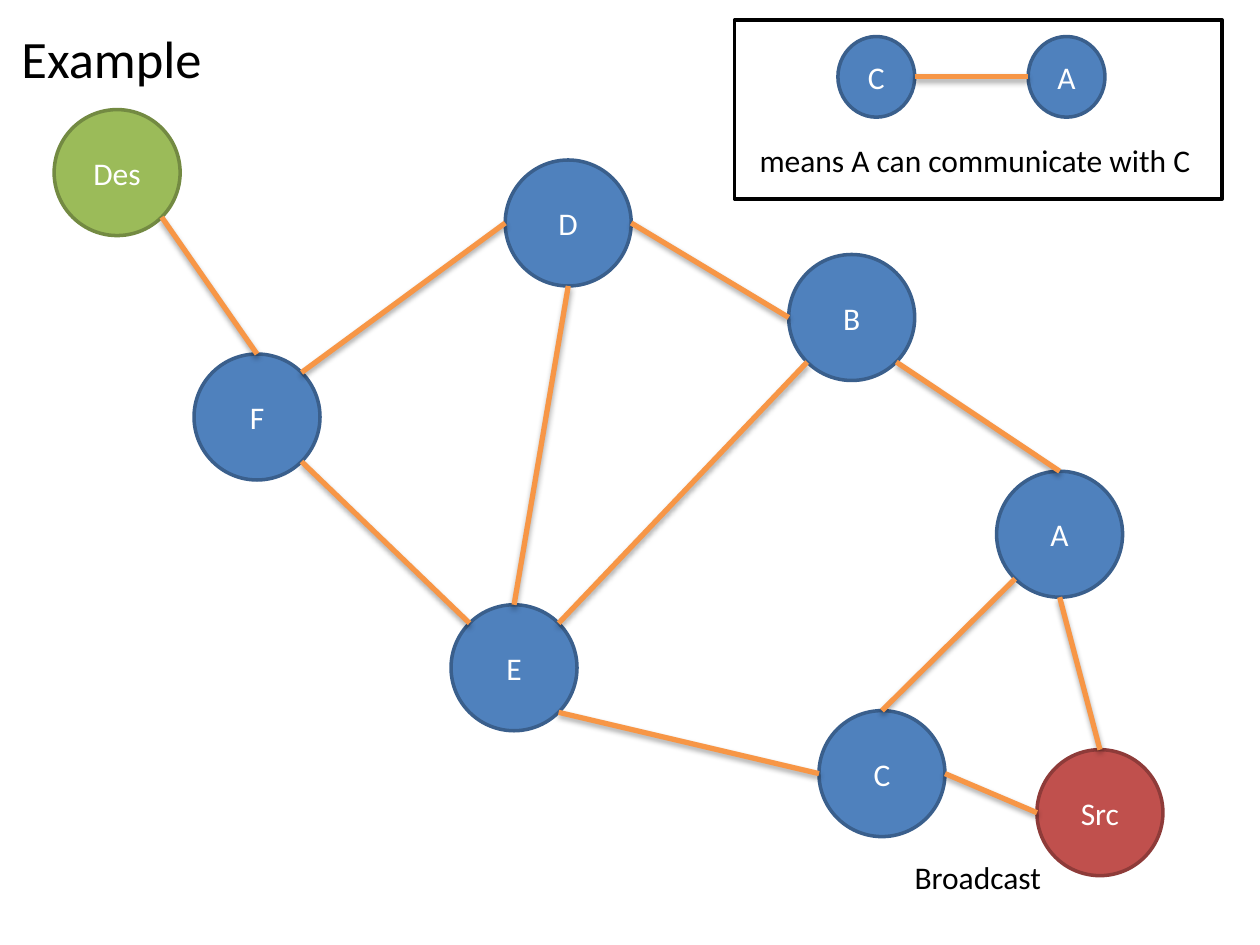
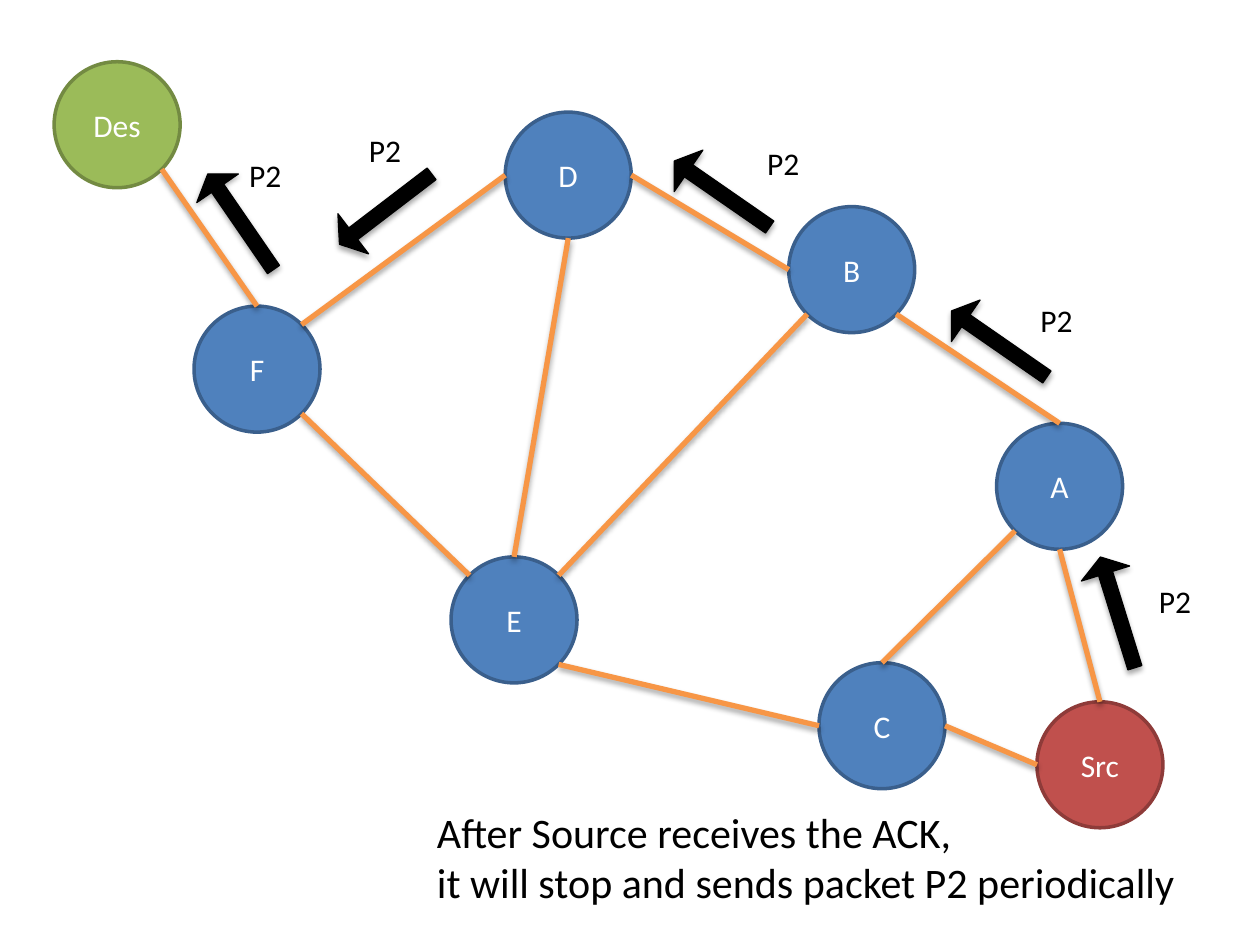
from enum import IntEnum
from math import cos, radians, sin

from lxml.etree import SubElement
from pptx import Presentation
from pptx.dml.color import RGBColor
from pptx.enum.shapes import MSO_CONNECTOR as Connector, MSO_SHAPE as Preset
from pptx.enum.text import MSO_ANCHOR as Anchor, MSO_AUTO_SIZE as AutoSize, PP_ALIGN as Align
from pptx.oxml.ns import qn
from pptx.util import Inches, Pt

WHITE = RGBColor(0xFF, 0xFF, 0xFF)
BLACK = RGBColor(0x00, 0x00, 0x00)
BLUE = RGBColor(0x4F, 0x81, 0xBD)
DARK_BLUE = RGBColor(0x3A, 0x5F, 0x8C)
GREEN = RGBColor(0x9B, 0xBB, 0x59)
DARK_GREEN = RGBColor(0x73, 0x8A, 0x42)
RED = RGBColor(0xC0, 0x50, 0x4D)
DARK_RED = RGBColor(0x8E, 0x3B, 0x39)
ORANGE = RGBColor(0xF7, 0x96, 0x46)

FONT = "Calibri"
TITLE_ONLY, BLANK = 5, 6
NODE_SIZE = 1


class Site(IntEnum):
    TOP = 0
    UPPER_LEFT = 1
    LEFT = 2
    LOWER_LEFT = 3
    BOTTOM = 4
    LOWER_RIGHT = 5
    RIGHT = 6
    UPPER_RIGHT = 7


NODES = {
    "D": (4.01, 0.89),
    "Des": (0.43, 0.49),
    "E": (3.58, 4.42),
    "B": (6.26, 1.64),
    "A": (7.91, 3.36),
    "F": (1.54, 2.43),
    "C": (6.5, 5.26),
    "Src": (8.23, 5.57),
}
NODE_COLORS = {"Des": (GREEN, DARK_GREEN), "Src": (RED, DARK_RED)}
LINKS = [
    ("A", Site.BOTTOM, "Src", Site.TOP),
    ("C", Site.RIGHT, "Src", Site.LEFT),
    ("E", Site.LOWER_RIGHT, "C", Site.LEFT),
    ("F", Site.LOWER_RIGHT, "E", Site.UPPER_LEFT),
    ("B", Site.LOWER_RIGHT, "A", Site.TOP),
    ("D", Site.RIGHT, "B", Site.LEFT),
    ("F", Site.UPPER_RIGHT, "D", Site.LEFT),
    ("Des", Site.LOWER_RIGHT, "F", Site.TOP),
    ("C", Site.TOP, "A", Site.LOWER_LEFT),
    ("D", Site.BOTTOM, "E", Site.TOP),
    ("B", Site.LOWER_LEFT, "E", Site.UPPER_RIGHT),
]
PACKET_HOPS = [
    (8.41, 4.66, 72.7, 9.1, 4.57),
    (1.45, 1.56, 55.5, 1.88, 1.19),
    (5.27, 1.34, 34.7, 5.99, 1.09),
    (2.6, 1.46, 322.6, 2.83, 0.99),
    (7.47, 2.53, 34.7, 8.16, 2.34),
]


def write(frame, text, size=18, color=BLACK, align=Align.LEFT, anchor=Anchor.TOP,
          wrap=False, auto_size=AutoSize.SHAPE_TO_FIT_TEXT):
    frame.word_wrap = wrap
    frame.auto_size = auto_size
    frame.vertical_anchor = anchor
    for number, line in enumerate(text.split("\n")):
        para = frame.add_paragraph() if number else frame.paragraphs[0]
        para.alignment = align
        span = para.add_run()
        span.text = line
        span.font.name = FONT
        span.font.size = Pt(size)
        span.font.color.rgb = color


def drop_shadow(element):
    effects = SubElement(element.spPr, qn("a:effectLst"))
    shadow = SubElement(effects, qn("a:outerShdw"), blurRad="40000", dist="23000",
                        dir="5400000", rotWithShape="0")
    color = SubElement(shadow, qn("a:srgbClr"), val=str(BLACK))
    SubElement(color, qn("a:alpha"), val="35000")


def site_point(node, site):
    angle = radians(90 + 45 * site)
    x = node.left + node.width / 2 * (1 + cos(angle))
    y = node.top + node.height / 2 * (1 - sin(angle))
    return round(x), round(y)


class NetworkDeck:
    def __init__(self):
        self.deck = Presentation()
        self.deck.slide_width = Inches(10)
        self.deck.slide_height = Inches(7.5)
        self.page = None

    def new_page(self, layout):
        self.page = self.deck.slides.add_slide(self.deck.slide_layouts[layout])

    def title(self, text, left, top, width, height):
        box = self.page.shapes.title
        box.left, box.top = Inches(left), Inches(top)
        box.width, box.height = Inches(width), Inches(height)
        write(box.text_frame, text, size=30, wrap=True)

    def label(self, text, left, top, width, height=0.4, size=18):
        box = self.page.shapes.add_textbox(
            Inches(left), Inches(top), Inches(width), Inches(height))
        write(box.text_frame, text, size=size)

    def shape(self, preset, left, top, width, height, fill, line, weight=2):
        shape = self.page.shapes.add_shape(
            preset, Inches(left), Inches(top), Inches(width), Inches(height))
        shape.fill.solid()
        shape.fill.fore_color.rgb = fill
        shape.line.color.rgb = line
        shape.line.width = Pt(weight)
        shape.shadow.inherit = False
        return shape

    def node(self, name, left, top, width=NODE_SIZE, height=NODE_SIZE):
        fill, line = NODE_COLORS.get(name, (BLUE, DARK_BLUE))
        node = self.shape(Preset.OVAL, left, top, width, height, fill, line)
        write(node.text_frame, name, color=WHITE, align=Align.CENTER,
              anchor=Anchor.MIDDLE, auto_size=AutoSize.NONE)
        return node

    def link(self, start, start_site, end, end_site):
        link = self.page.shapes.add_connector(
            Connector.STRAIGHT, *site_point(start, start_site), *site_point(end, end_site))
        link.line.color.rgb = ORANGE
        link.line.width = Pt(3)
        drop_shadow(link._element)
        joints = link._element.nvCxnSpPr.cNvCxnSpPr
        for tag, node, site in (("a:stCxn", start, start_site), ("a:endCxn", end, end_site)):
            SubElement(joints, qn(tag), id=str(node.shape_id), idx=str(int(site)))

    def arrow(self, left, top, rotation):
        arrow = self.shape(Preset.LEFT_ARROW, left, top, 0.92, 0.4, BLACK, BLACK, 0.75)
        arrow.adjustments[0] = 0.288
        arrow.adjustments[1] = 0.343
        arrow.rotation = rotation
        arrow._element.spPr.remove(arrow._element.spPr.find(qn("a:effectLst")))
        drop_shadow(arrow._element)

    def network(self, shift=0):
        nodes = {name: self.node(name, left, top + shift)
                 for name, (left, top) in NODES.items()}
        for start, start_site, end, end_site in LINKS:
            self.link(nodes[start], start_site, nodes[end], end_site)

    def legend(self):
        self.shape(Preset.RECTANGLE, 5.83, 0.16, 3.87, 1.42, WHITE, BLACK)
        right = self.node("A", 8.16, 0.29, 0.61, 0.64)
        left = self.node("C", 6.65, 0.29, 0.61, 0.64)
        self.link(left, Site.RIGHT, right, Site.LEFT)
        self.label("means A can communicate with C", 5.93, 1.07, 3.66)


show = NetworkDeck()

show.new_page(TITLE_ONLY)
show.title("Example", 0.07, 0.16, 1.86, 0.61)
show.network(shift=0.38)
show.legend()
show.label("Broadcast", 7.16, 6.76, 1.22)

show.new_page(BLANK)
show.network()
for arrow_left, arrow_top, rotation, label_left, label_top in PACKET_HOPS:
    show.arrow(arrow_left, arrow_top, rotation)
    show.label("P2", label_left, label_top, 0.46)
show.label("After Source receives the ACK,\nit will stop and sends packet P2 periodically",
           3.37, 6.35, 6.26, 0.91, size=24)

show.deck.save("out.pptx")
